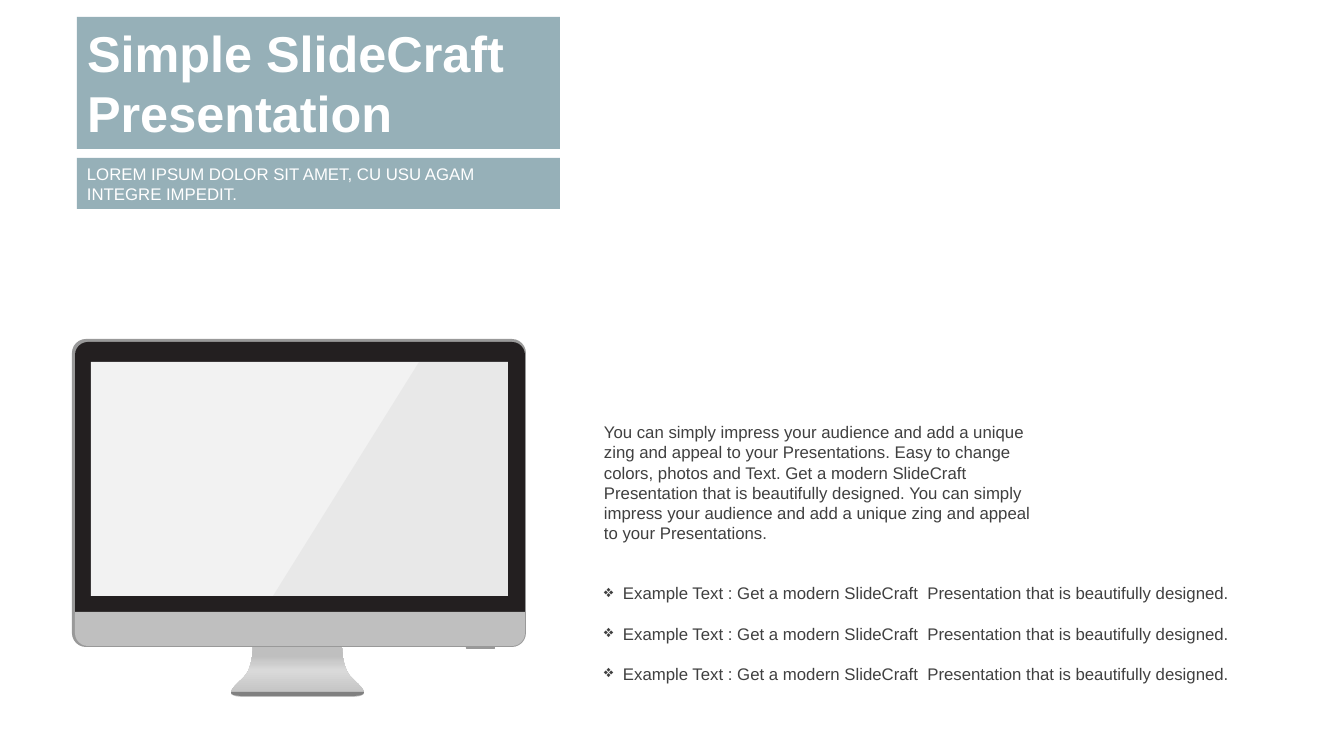
from lxml import etree
from pptx import Presentation
from pptx import util as u
from pptx.dml.color import RGBColor
from pptx.enum import shapes, text
from pptx.oxml.ns import qn

# Content
TITLE = "Simple SlideCraft Presentation"
SUBTITLE = "LOREM IPSUM DOLOR SIT AMET, CU USU AGAM INTEGRE IMPEDIT."
PITCH = ("You can simply impress your audience and add a unique zing and appeal "
         "to your Presentations. Easy to change colors, photos and Text. "
         "Get a modern SlideCraft  Presentation that is beautifully designed. "
         "You can simply impress your audience and add a unique zing and appeal "
         "to your Presentations.")
EXAMPLES = ["Example Text : Get a modern SlideCraft  Presentation "
            "that is beautifully designed."] * 3

FONT = "Arial"
WHITE = RGBColor(0xFF, 0xFF, 0xFF)
INK = RGBColor(0x40, 0x40, 0x40)
TEAL = RGBColor(0x50, 0x7C, 0x89)
EDGE = RGBColor(0x99, 0x99, 0x99)
BLACK = RGBColor(0x23, 0x1F, 0x20)
SILVER = RGBColor(0xBF, 0xBF, 0xBF)
LIGHT = RGBColor(0xD9, 0xD9, 0xD9)
SHADE = RGBColor(0x80, 0x80, 0x80)
SCREEN = RGBColor(0xF2, 0xF2, 0xF2)

# Boxes in px: left, top, width, height
TITLE_BOX = (77, 17, 483, 132)
SUBTITLE_BOX = (77, 158, 483, 51)
PITCH_BOX = (594, 417, 458, 132)
EXAMPLES_BOX = (594, 578, 673, 112)

# Monitor: preset, box, fill, corner radii
RECT = shapes.MSO_SHAPE.RECTANGLE
ROUND = shapes.MSO_SHAPE.ROUNDED_RECTANGLE
ROUND_2 = shapes.MSO_SHAPE.ROUND_2_SAME_RECTANGLE
MONITOR = [
    (ROUND, (72, 339, 454, 308), EDGE, (14,)),
    (ROUND_2, (466, 646, 29, 3), EDGE, (0, 1)),
    (ROUND_2, (75, 342, 450, 270), BLACK, (13, 0)),
    (ROUND_2, (75, 612, 450, 34), SILVER, (0, 13)),
    (RECT, (91, 362, 417, 234), SCREEN, ()),
]
GLARE = [(419, 362), (508, 362), (508, 596), (273, 596)]

# Left halves of the symmetric foot: start point, then Bézier curves
STAND = (253, 647), [[(253, 647), (253, 668), (244, 677)],
                     [(234, 687), (220, 697), (245, 697)]]
LIP = (231, 692), [[(231, 695), (235, 696), (246, 696)]]
MIRROR = 595  # sum of matching left and right x
STAND_STOPS = [(0, SILVER), (53, LIGHT), (83, SILVER), (100, SILVER)]

SCALE = 914400 / 100.8


def emu(*lengths):
    return [u.Emu(round(n * SCALE)) for n in lengths]


def paint(sp, color, alpha=100):
    sp.fill.solid()
    sp.fill.fore_color.rgb = color
    if alpha < 100:
        clr = sp._element.spPr.find(".//" + qn("a:srgbClr"))
        etree.SubElement(clr, qn("a:alpha"), val=str(alpha * 1000))


def add_preset(s, kind, box, color, radii=()):
    sp = s.shapes.add_shape(kind, *emu(*box))
    for i, radius in enumerate(radii):
        sp.adjustments[i] = radius / min(box[2:])
    sp.shadow.inherit = False
    sp.line.fill.background()
    paint(sp, color)
    return sp


def add_outline(s, points):
    start, *rest = [emu(*point) for point in points]
    fb = s.shapes.build_freeform(*start, scale=1.0)
    fb.add_line_segments(rest, close=True)
    sp = fb.convert_to_shape()
    sp.shadow.inherit = False
    sp.line.fill.background()
    return sp


def mirrored(start, curves, steps=12):
    left = [start]
    for b, c, d in curves:
        a = left[-1]
        for t in (i / steps for i in range(1, steps + 1)):
            weights = ((1 - t)**3, 3 * t * (1 - t)**2, 3 * t * t * (1 - t), t**3)
            left.append(tuple(sum(w * n for w, n in zip(weights, axis))
                              for axis in zip(a, b, c, d)))
    return left + [(MIRROR - x, y) for x, y in reversed(left)]


def write(sp, lines, color, size=12, bold=False, anchor=text.MSO_ANCHOR.TOP):
    tf = sp.text_frame
    tf.word_wrap = True
    tf.auto_size = text.MSO_AUTO_SIZE.NONE
    tf.vertical_anchor = anchor
    tf.text = "\n".join(lines)
    for p in tf.paragraphs:
        p.alignment = text.PP_ALIGN.LEFT
        p.line_spacing = 1.0
        p.font.name, p.font.size, p.font.bold = FONT, u.Pt(size), bold
        p.font.color.rgb = color
    return tf


def main():
    prs = Presentation()
    prs.slide_width, prs.slide_height = emu(1344, 756)
    s = prs.slides.add_slide(prs.slide_layouts[5])

    # Title and subtitle bands
    title = s.shapes.title
    title.left, title.top, title.width, title.height = emu(*TITLE_BOX)
    paint(title, TEAL, 60)
    write(title, [TITLE], WHITE, 36, True)
    band = add_preset(s, RECT, SUBTITLE_BOX, TEAL)
    paint(band, TEAL, 60)
    write(band, [SUBTITLE], WHITE, anchor=text.MSO_ANCHOR.MIDDLE)

    # Monitor foot with vertical gradient
    stand = add_outline(s, mirrored(*STAND))
    stand.fill.gradient()
    stand.fill.gradient_angle = 90
    stops = stand._element.spPr.find(".//" + qn("a:gsLst"))
    for gs in list(stops):
        stops.remove(gs)
    for pos, color in STAND_STOPS:
        gs = etree.SubElement(stops, qn("a:gs"), pos=str(pos * 1000))
        etree.SubElement(gs, qn("a:srgbClr"), val=str(color))
    paint(add_outline(s, mirrored(*LIP)), SHADE)

    # Monitor body and screen glare
    for part in MONITOR:
        add_preset(s, *part)
    paint(add_outline(s, GLARE), EDGE, 10)

    # Body text
    write(s.shapes.add_textbox(*emu(*PITCH_BOX)), [PITCH], INK)

    # Bulleted examples
    tf = write(s.shapes.add_textbox(*emu(*EXAMPLES_BOX)), EXAMPLES, INK)
    indent, = emu(19)
    for i, p in enumerate(tf.paragraphs):
        p.space_before = u.Pt(14.4 if i else 0)
        pPr = p._p.get_or_add_pPr()
        pPr.set("marL", str(indent))
        pPr.set("indent", str(-indent))
        bullet = etree.Element(qn("a:buChar"), char="❖")
        pPr.find(qn("a:defRPr")).addprevious(bullet)

    prs.save("out.pptx")


if __name__ == "__main__":
    main()
